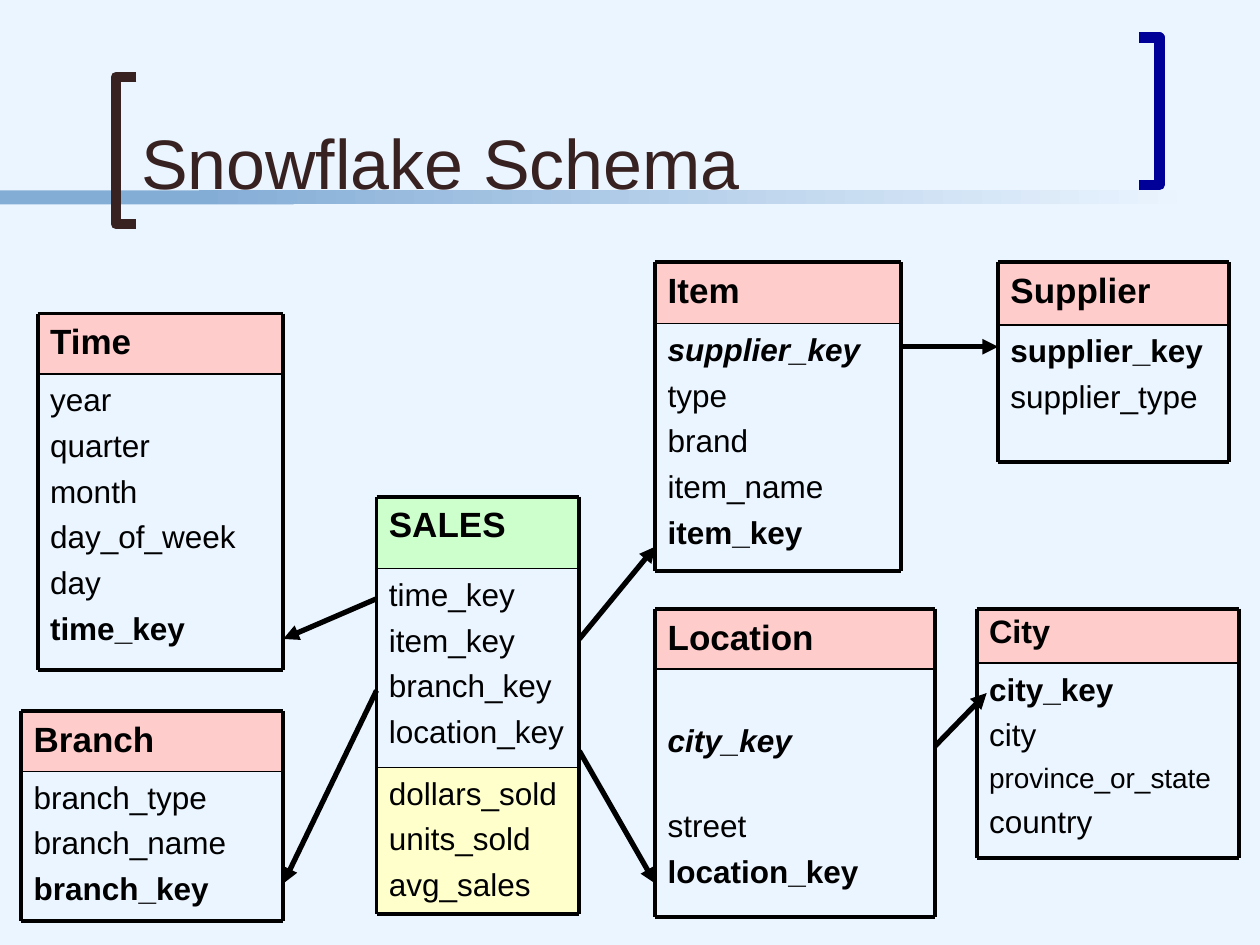
"""Build the snowflake schema slide."""
from lxml.etree import SubElement
from pptx import Presentation
from pptx.dml.color import RGBColor
from pptx.enum.shapes import MSO_CONNECTOR, MSO_SHAPE
from pptx.enum.text import MSO_ANCHOR, MSO_AUTO_SIZE, PP_ALIGN
from pptx.oxml.ns import qn
from pptx.util import Cm, Pt

PAPER, PINK, GREEN, CREAM = "EBF5FF", "FFCCCC", "CCFFCC", "FFFFCC"
BLUE, BROWN, NAVY, BLACK = "84ADD6", "372221", "000099", "000000"
PLAIN, BOLD, SLANT = "", "b", "bi"
GAP, WIDE = 25, 150


def row(text, style=PLAIN, size=18, gap=GAP):
    return text, style, size, gap


def head(text, size=20, gap=GAP):
    return [row(text, BOLD, size, gap)]


# Each table: left, top, width, then bands of (height, fill, rows), in cm
TABLES = [
    (0.76, 6.32, 4.95, [
        (1.22, PINK, head("Time")),
        (5.97, None, [row("year"), row("quarter"), row("month"),
                      row("day_of_week"), row("day"), row("time_key", BOLD)])]),
    (13.21, 5.28, 4.95, [
        (1.24, PINK, head("Item")),
        (4.99, PAPER, [row("supplier_key", SLANT), row("type"), row("brand"),
                       row("item_name"), row("item_key", BOLD)])]),
    (0.43, 14.33, 5.28, [
        (1.22, PINK, head("Branch")),
        (3.02, None, [row("branch_type"), row("branch_name"),
                      row("branch_key", BOLD)])]),
    (13.21, 12.27, 5.63, [
        (1.22, PINK, head("Location")),
        (5, PAPER, [row("city_key", SLANT, gap=WIDE), row("street", gap=WIDE),
                    row("location_key", BOLD)])]),
    (7.59, 10.01, 4.09, [
        (1.45, GREEN, head("SALES")),
        (4.01, None, [row("time_key"), row("item_key"), row("branch_key"),
                      row("location_key")]),
        (2.95, CREAM, [row("dollars_sold"), row("units_sold"),
                       row("avg_sales")])]),
    (19.69, 12.27, 5.28, [
        (1.1, PINK, head("City", 18.5, 0)),
        (3.92, None, [row("city_key", BOLD), row("city"),
                      row("province_or_state", size=16), row("country")])]),
    (20.12, 5.28, 4.65, [
        (1.27, PINK, head("Supplier")),
        (2.77, None, [row("supplier_key", BOLD), row("supplier_type")])]),
]
ARROWS = [
    (7.59, 13.92, 5.71, 17.81), (11.68, 12.88, 13.21, 11.02),
    (11.68, 15.14, 13.21, 17.81), (7.59, 12.07, 5.71, 12.88),
    (18.85, 15.04, 19.89, 13.97), (18.21, 6.99, 20.12, 6.99),
]
# Each bracket: open end x, spine x, top, colour
BRACKETS = [(2.75, 2.34, 1.55, BROWN), (22.96, 23.37, 0.76, NAVY)]
TALL = 2.97


def paint(part, color):
    """Give a fill or line format one solid colour."""
    part.solid()
    part.fore_color.rgb = RGBColor.from_string(color)


def rect(shapes, x, y, w, h):
    box = shapes.add_shape(MSO_SHAPE.RECTANGLE, Cm(x), Cm(y), Cm(w), Cm(h))
    box.shadow.inherit = False
    box.line.fill.background()
    return box


def line(shapes, ends, width, arrow=False):
    """Draw a black line, with a triangle at its end if asked."""
    link = shapes.add_connector(MSO_CONNECTOR.STRAIGHT, *map(Cm, ends))
    paint(link.line.fill, BLACK)
    link.line.width = Pt(width)
    if arrow:
        SubElement(link.line._get_or_add_ln(), qn("a:tailEnd"), type="triangle")
    SubElement(link._element.spPr, qn("a:effectLst"))


def write(frame, rows):
    """Fill a text frame with rows; a wide first gap goes into the inset."""
    frame.word_wrap = True
    frame.vertical_anchor = MSO_ANCHOR.TOP
    frame.margin_top = Cm(0.13) + Pt(0.207 * max(rows[0][3] - GAP, 0))
    frame.text = "\n".join(item[0] for item in rows)
    for i, (para, (_, style, size, gap)) in enumerate(zip(frame.paragraphs, rows)):
        if gap:
            space = SubElement(para._p.get_or_add_pPr(), qn("a:spcBef"))
            part = gap if i else GAP
            SubElement(space, qn("a:spcPct"), val=str(part * 1000))
        else:
            para.line_spacing = 0.9
        para.alignment = PP_ALIGN.LEFT
        font = para.runs[0].font
        font.name, font.size = "Arial", Pt(size)
        font.bold, font.italic = "b" in style, "i" in style
        font.color.rgb = RGBColor.from_string(BLACK)


def table(shapes, x, y, w, bands):
    """Stack the bands, rule between them and frame the whole."""
    low, rules = y, []
    for high, fill, rows in bands:
        if fill:
            box = rect(shapes, x, low, w, high)
            paint(box.fill, fill)
        else:
            box = shapes.add_textbox(Cm(x), Cm(low), Cm(w), Cm(high))
        write(box.text_frame, rows)
        low += high
        rules.append(low)
    for mid in rules[:-1]:
        line(shapes, (x, mid, x + w, mid), 1)
    for edge in (y, low):
        line(shapes, (x, edge, x + w, edge), 2.25)
    for side in (x, x + w):
        line(shapes, (side, y, side, low), 2.25)


def decor(shapes):
    """Draw the fading bar and the two brackets."""
    paint(rect(shapes, 0, 3.84, 5.92, 0.28).fill, BLUE)
    fade = rect(shapes, 4.01, 3.84, 20.12, 0.28).fill
    fade.gradient()
    fade.gradient_angle = 180
    for stop, color in zip(fade.gradient_stops, (PAPER, BLUE)):
        stop.color.rgb = RGBColor.from_string(color)
    for tip, spine, top, color in BRACKETS:
        pen = shapes.build_freeform(Cm(tip), Cm(top))
        dots = [(spine, top), (spine, top + TALL), (tip, top + TALL)]
        pen.add_line_segments([(Cm(x), Cm(y)) for x, y in dots], close=False)
        form = pen.convert_to_shape()
        form.shadow.inherit = False
        form.fill.background()
        paint(form.line.fill, color)
        form.line.width = Pt(6)


def name(slide):
    """Place and format the title above the bar."""
    title = slide.shapes.title
    slide.shapes._spTree.append(title._element)
    title.left, title.top, title.width, title.height = map(Cm, (2.59, 0.28, 19.89, 3.94))
    frame = title.text_frame
    frame.text = "Snowflake Schema"
    frame.auto_size = MSO_AUTO_SIZE.NONE
    frame.vertical_anchor = MSO_ANCHOR.BOTTOM
    frame.paragraphs[0].alignment = PP_ALIGN.LEFT
    font = frame.paragraphs[0].runs[0].font
    font.name, font.size = "Arial", Pt(40)
    font.color.rgb = RGBColor.from_string(BROWN)


def main():
    deck = Presentation()
    deck.slide_width, deck.slide_height = Cm(25.4), Cm(19.05)
    slide = deck.slides.add_slide(deck.slide_layouts[5])
    paint(slide.background.fill, PAPER)
    decor(slide.shapes)
    name(slide)
    for item in TABLES:
        table(slide.shapes, *item)
    for ends in ARROWS:
        line(slide.shapes, ends, 3, arrow=True)
    deck.save("out.pptx")


if __name__ == "__main__":
    main()
